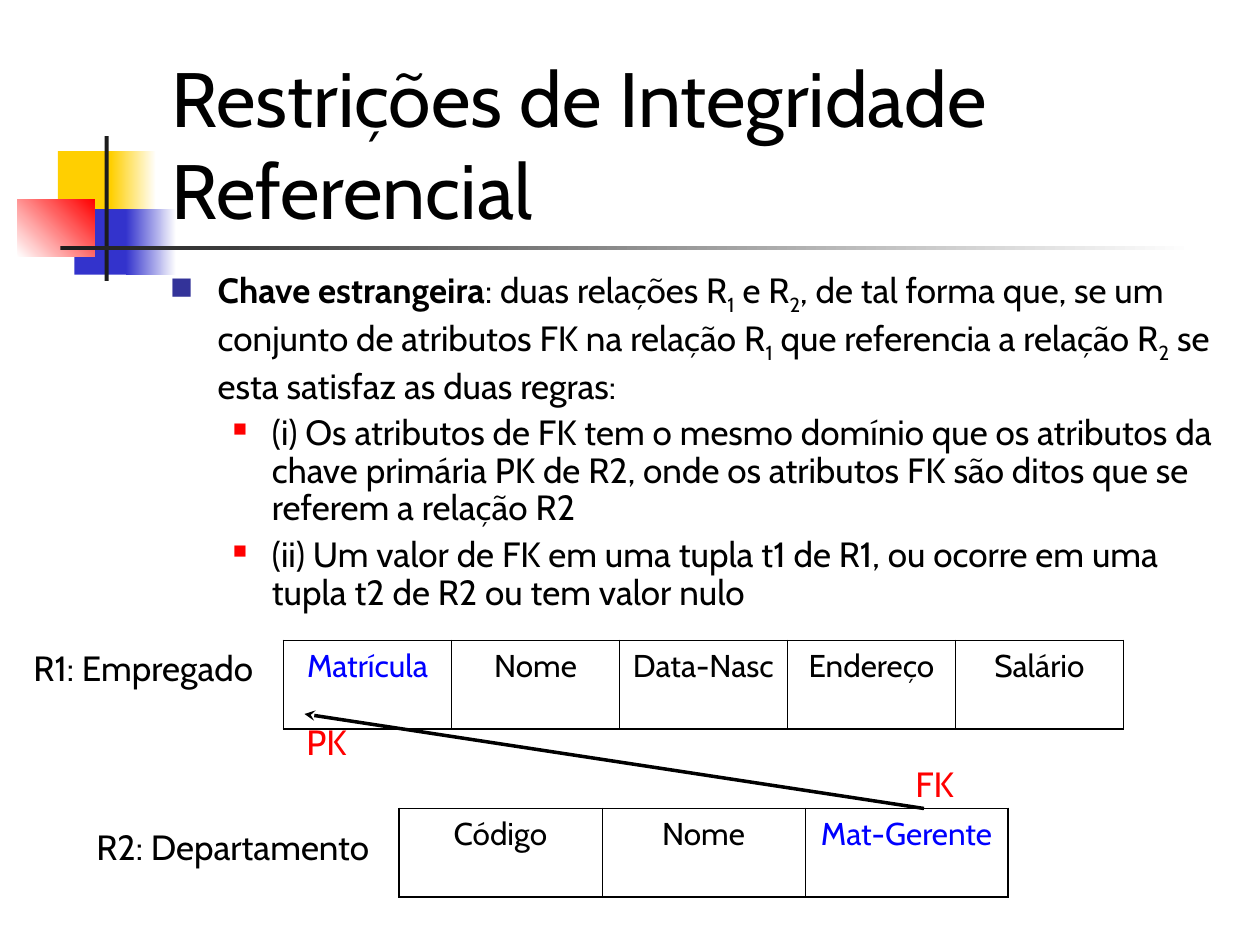
import pptx
import pptx.util
import pptx.dml.color
import pptx.enum.shapes
import pptx.enum.text
import pptx.oxml
import pptx.oxml.ns
import lxml.etree

Pt = pptx.util.Pt
Enum = pptx.enum.text
qn = pptx.oxml.ns.qn
COLS, ROWS = 120, 90
BLACK, WHITE, RED, BLUE = "000000", "FFFFFF", "FF0000", "0000FF"
GOLD, NAVY, DARK = "FFCF01", "3333CC", "1C1C1C"
SUB = {"base": -25000}


def color(text):
    return pptx.dml.color.RGBColor.from_string(text)


def put(obj, vals):
    for key, val in vals.items():
        setattr(obj, key, val)


def node(root, tag, **attrs):
    return lxml.etree.SubElement(root, qn(tag), attrs)


class Deck:
    font = "Cabin"

    def __init__(self):
        self.show = pptx.Presentation()
        put(self.show, {"slide_width": pptx.util.Inches(10),
                        "slide_height": pptx.util.Inches(7.5)})
        self.page = self.show.slides.add_slide(self.show.slide_layouts[5])
        self.shapes = self.page.shapes

    def box(self, *nums):
        """Turn grid columns and rows into lengths, x and y by turns."""
        unit = (self.show.slide_width / COLS, self.show.slide_height / ROWS)
        return [round(num * unit[i % 2]) for i, num in enumerate(nums)]

    def block(self, place, start, end=None, angle=0):
        """Draw a borderless rectangle, fading to the end colour if given."""
        kind = pptx.enum.shapes.MSO_SHAPE.RECTANGLE
        shape = self.shapes.add_shape(kind, *self.box(*place))
        shape.shadow.inherit = False
        shape.line.fill.background()
        if end is None:
            shape.fill.solid()
            shape.fill.fore_color.rgb = color(start)
            return
        shape.fill.gradient()
        shape.fill.gradient_angle = angle
        for stop, pos, tint in zip(shape.fill.gradient_stops, (0, 1), (start, end)):
            stop.position = pos
            stop.color.rgb = color(tint)

    def words(self, para, runs, size, tint=BLACK):
        if isinstance(runs, str):
            runs = [(runs, {})]
        for text, extra in runs:
            run = para.add_run()
            run.text = text
            form = {"size": Pt(size), "name": self.font, "bold": False, **extra}
            base = form.pop("base", None)
            put(run.font, form)
            run.font.color.rgb = color(tint)
            if base:
                run.font._element.set("baseline", str(base))

    def title(self, text, place):
        shape = self.shapes.title
        put(shape, dict(zip(("left", "top", "width", "height"), self.box(*place))))
        put(shape.text_frame, {"word_wrap": True, "auto_size": Enum.MSO_AUTO_SIZE.NONE,
                               "vertical_anchor": Enum.MSO_ANCHOR.BOTTOM})
        para = shape.text_frame.paragraphs[0]
        para.alignment = Enum.PP_ALIGN.LEFT
        self.words(para, text, 44)
        self.shapes._spTree.append(shape._element)

    def label(self, text, place, tint=BLACK):
        frame = self.shapes.add_textbox(*self.box(*place)).text_frame
        put(frame, {"word_wrap": True,
                    "auto_size": Enum.MSO_AUTO_SIZE.SHAPE_TO_FIT_TEXT})
        self.words(frame.paragraphs[0], text, 20, tint)

    def bullets(self, items, place):
        frame = self.shapes.add_textbox(*self.box(*place)).text_frame
        frame.word_wrap = True
        for i, (level, runs) in enumerate(items):
            para = frame.add_paragraph() if i else frame.paragraphs[0]
            left, hang, tint, share = ((0.38, 0.38, "333399", 90),
                                       (0.81, 0.31, RED, 55))[level]
            prop = para._p.get_or_add_pPr()
            prop.set("marL", str(pptx.util.Inches(left)))
            prop.set("indent", str(-pptx.util.Inches(hang)))
            node(node(prop, "a:buClr"), "a:srgbClr", val=tint)
            node(prop, "a:buSzPct", val=str(share * 1000))
            node(prop, "a:buChar", char="■")
            para.level = level
            if level:
                put(para, {"line_spacing": 0.9, "space_before": Pt(5)})
            self.words(para, runs, 20)

    def table(self, names, key, place):
        """Draw a one-row relation with its key attribute in blue."""
        count = len(names)
        grid = self.shapes.add_table(1, count, *self.box(*place)).table
        put(grid, {"first_row": False, "horz_banding": False})
        for i, name in enumerate(names):
            grid.columns[i].width = self.box(place[2] / count)[0]
            cell = grid.cell(0, i)
            prop = cell._tc.get_or_add_tcPr()
            wide = {"L": i == 0, "R": i == count - 1, "T": True, "B": True}
            for side, outer in wide.items():
                edge = node(prop, "a:ln" + side, w=str(Pt(1.08 if outer else 0.45)))
                node(node(edge, "a:solidFill"), "a:srgbClr", val=BLACK)
            cell.fill.solid()
            cell.fill.fore_color.rgb = color(WHITE)
            para = cell.text_frame.paragraphs[0]
            para.alignment = Enum.PP_ALIGN.CENTER
            self.words(para, name, 18, BLUE if name == key else BLACK)

    def arrow(self, *ends):
        """Draw a line whose arrowhead is at its first end."""
        kind = pptx.enum.shapes.MSO_CONNECTOR.STRAIGHT
        link = self.shapes.add_connector(kind, *self.box(*ends))
        link.line.width = Pt(2)
        link.line.color.rgb = color(BLACK)
        node(link.line._get_or_add_ln(), "a:headEnd", type="stealth")
        node(link._element.spPr, "a:effectLst")


def main():
    deck = Deck()
    deck.block((5.52, 14.4, 5.76, 6.24), GOLD)
    deck.block((10.56, 14.4, 4.32, 6.24), GOLD, WHITE)
    deck.block((7.08, 19.92, 5.52, 6.24), NAVY)
    deck.block((12, 19.92, 4.8, 6.24), NAVY, WHITE)
    deck.block((1.68, 18.96, 7.32, 5.52), WHITE, RED, 45)
    deck.block((9.96, 12.96, 0.4, 13.8), DARK)
    deck.block((5.76, 23.4, 108, 0.4), DARK, WHITE)

    deck.title("Restrições de Integridade Referencial", (15.1, 8, 102.2, 15))
    deck.bullets([
        (0, [("Chave estrangeira", {"bold": True}), (": duas relações R", {}),
             ("1", SUB), (" e R", {}), ("2", SUB),
             (", de tal forma que, se um conjunto de atributos FK na relação R", {}),
             ("1", SUB), (" que referencia a relação R", {}), ("2", SUB),
             (" se esta satisfaz as duas regras:", {})]),
        (1, "(i) Os atributos de FK tem o mesmo domínio que os atributos da chave "
            "primária PK de R2, onde os atributos FK são ditos que se referem a "
            "relação R2"),
        (1, "(ii) Um valor de FK em uma tupla t1 de R1, ou ocorre em uma tupla t2 "
            "de R2 ou tem valor nulo"),
    ], (15, 25, 102, 42))

    deck.table(["Matrícula", "Nome", "Data-Nasc", "Endereço", "Salário"],
               "Matrícula", (27, 61, 80, 8.4))
    deck.table(["Código", "Nome", "Mat-Gerente"], "Mat-Gerente", (38, 77, 58, 8.4))
    deck.arrow(29, 68, 88, 77)
    deck.label("PK", (28, 68, 8, 5.25), RED)
    deck.label("FK", (86, 72, 8, 5.25), RED)
    deck.label("R2: Departamento", (8, 78, 36, 5.25))
    deck.label("R1: Empregado", (2, 61, 27, 5.25))
    deck.show.save("out.pptx")


if __name__ == "__main__":
    main()
